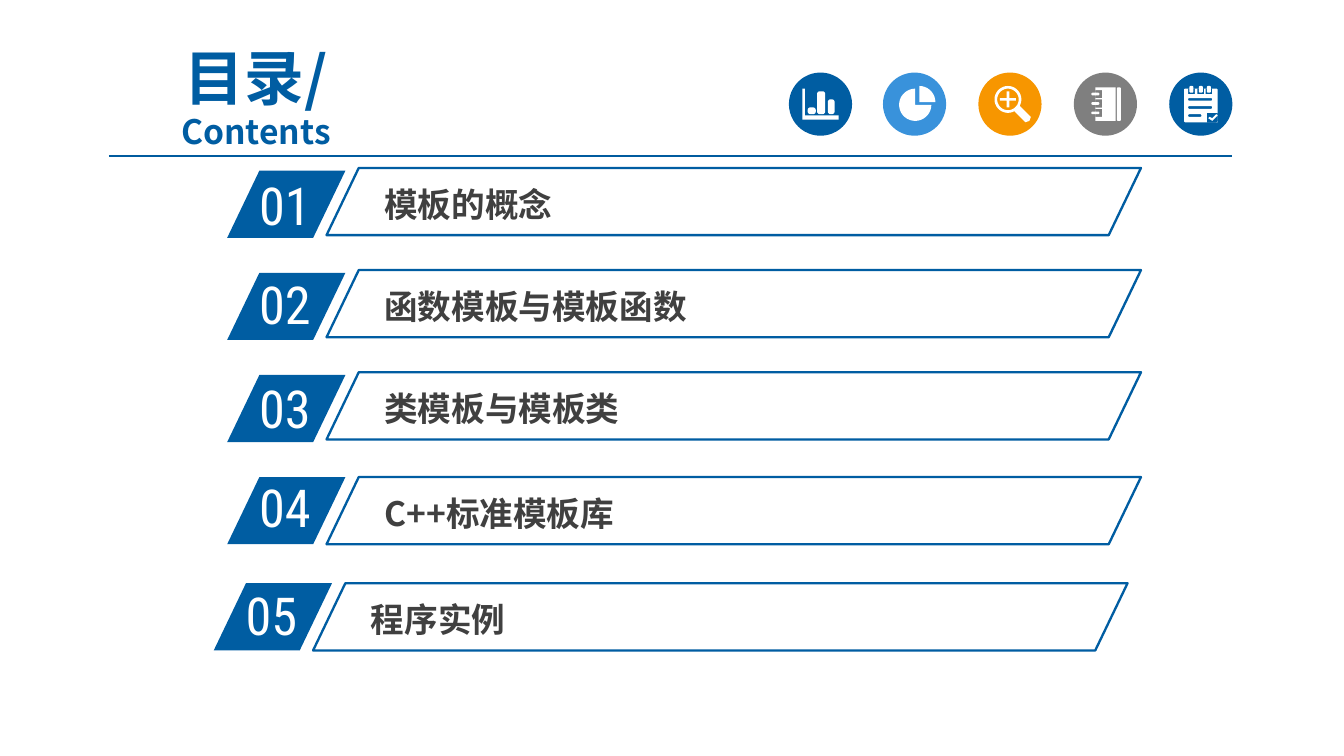
from math import cos, radians, sin
from typing import NamedTuple

from lxml import etree
from pptx import Presentation
from pptx import util as u
from pptx.dml.color import RGBColor
from pptx.enum import shapes, text
from pptx.oxml.ns import qn

COLORS = {"blue": "005DA2", "rule": "005B9E", "sky": "3992DB", "orange": "F79600",
          "gray": "7F7F7F", "dark": "404040", "white": "FFFFFF"}
SANS, SLIM = "Noto Sans CJK SC", "Roboto Condensed"
Path = list[tuple[float, float]]


class Row(NamedTuple):
    num: str
    label: str
    left: float
    badge: float
    digit: float
    bar: float


class Icon(NamedTuple):
    left: float
    color: str
    paths: list[Path]


def rgb(name: str) -> RGBColor:
    return RGBColor.from_string(COLORS[name])


# Outline helpers, in inches from the icon's top left corner
def arc(cx: float, cy: float, r: float, start: int = 0, end: int = 360) -> Path:
    return [(cx + r * cos(radians(a)), cy + r * sin(radians(a)))
            for a in range(start, end + 1, 10)]


def box(x: float, y: float, w: float, h: float, r: float = 0) -> Path:
    if not r:
        return [(x, y), (x + w, y), (x + w, y + h), (x, y + h)]
    mids = [(x + w - r, y + h - r), (x + r, y + h - r), (x + r, y + r), (x + w - r, y + r)]
    return [p for i, (cx, cy) in enumerate(mids)
            for p in arc(cx, cy, r, 90 * i, 90 * i + 90)]


def plus(cx: float, cy: float, arm: float, half: float) -> Path:
    side = [(arm, -half), (arm, half), (half, half)]
    turns = [(1, 0), (0, 1), (-1, 0), (0, -1)]
    return [(cx + c * x - s * y, cy + s * x + c * y) for c, s in turns for x, y in side]


# Drawing functions
def add_run(para, words: str, size: float, font: str, color: str, bold: bool = False) -> None:
    run = para.add_run()
    run.text = words
    run.font.size, run.font.name, run.font.bold = u.Pt(size), font, bold
    run.font.color.rgb = rgb(color)
    props = run.font._element
    etree.SubElement(props, qn("a:ea")).set("typeface", font)


def add_text(slide, x: float, y: float, w: float, h: float, pad: tuple = (0.1, 0.05)):
    frame = slide.shapes.add_textbox(*map(u.Inches, (x, y, w, h))).text_frame
    frame.word_wrap = True
    frame.margin_left = frame.margin_right = u.Inches(pad[0])
    frame.margin_top = frame.margin_bottom = u.Inches(pad[1])
    return frame


def add_shape(slide, kind, x: float, y: float, w: float, h: float,
              fill: str = "", line: str = ""):
    shape = slide.shapes.add_shape(kind, *map(u.Inches, (x, y, w, h)))
    paint(shape, fill, line)
    return shape


def paint(shape, fill: str = "", line: str = "") -> None:
    shape.shadow.inherit = False
    if fill:
        shape.fill.solid()
        shape.fill.fore_color.rgb = rgb(fill)
    else:
        shape.fill.background()
    if line:
        shape.line.color.rgb = rgb(line)
        shape.line.width = u.Pt(1.25)
    else:
        shape.line.fill.background()


def add_slant(slide, x: float, y: float, w: float, fill: str = "", line: str = "") -> None:
    shape = add_shape(slide, shapes.MSO_SHAPE.PARALLELOGRAM, x, y, w, 0.5, fill, line)
    shape.adjustments[0] = 0.48


def add_row(slide, row: Row) -> None:
    add_slant(slide, row.left, row.badge, 0.88, fill="blue")
    digit = add_text(slide, row.left + 0.14, row.digit, 0.84, 0.57)
    add_run(digit.paragraphs[0], row.num, 28, SLIM, "white")
    label = add_text(slide, row.left + 1.1, row.bar + 0.08, 5, 0.38, (0.07, 0.04))
    add_run(label.paragraphs[0], row.label, 18, SANS, "dark", True)
    add_slant(slide, row.left + 0.74, row.bar, 6.06, line="blue")


def add_icon(slide, icon: Icon) -> None:
    top = 0.54
    add_shape(slide, shapes.MSO_SHAPE.OVAL, icon.left, top, 0.47, 0.47, icon.color)
    paths = [[(u.Inches(icon.left + x), u.Inches(top + y)) for x, y in path]
             for path in icon.paths]
    pen = slide.shapes.build_freeform(*paths[0][0])
    for i, path in enumerate(paths):
        if i:
            pen.move_to(*path[0])
        pen.add_line_segments(path[1:], close=True)
    paint(pen.convert_to_shape(), "white")


# Icon outlines; an outline inside another cuts a hole
CHART = [[(0.1, 0.12), (0.12, 0.12), (0.12, 0.32), (0.37, 0.32), (0.37, 0.35), (0.1, 0.35)],
         box(0.14, 0.26, 0.06, 0.05, 0.02), box(0.21, 0.14, 0.06, 0.17, 0.02),
         box(0.29, 0.2, 0.05, 0.11, 0.02)]
PIE = [[(0.27, 0.22)] + arc(0.27, 0.22, 0.12, -90, 0),
       [(0.24, 0.24)] + arc(0.24, 0.24, 0.12, 0, 270)]
LENS = [arc(0.22, 0.2, 0.1), arc(0.22, 0.2, 0.08), plus(0.22, 0.2, 0.06, 0.01),
        [(0.31, 0.25), (0.39, 0.33), (0.38, 0.36), (0.35, 0.37), (0.27, 0.29)]]
BOOK = [box(0.16, 0.11, 0.15, 0.25), box(0.32, 0.11, 0.03, 0.25, 0.01)]
for y in (0.15, 0.22, 0.29):
    BOOK += [box(0.16, y - 0.02, 0.05, 0.06), box(0.13, y, 0.06, 0.02, 0.01)]
NOTE = [box(0.11, 0.12, 0.25, 0.25, 0.01), box(0.14, 0.19, 0.18, 0.02, 0.01),
        box(0.14, 0.25, 0.18, 0.02, 0.01), box(0.14, 0.31, 0.1, 0.02, 0.01),
        box(0.28, 0.3, 0.08, 0.07),
        [(0.29, 0.34), (0.3, 0.33), (0.32, 0.34), (0.35, 0.31), (0.36, 0.32), (0.32, 0.36)]]
for x in (0.15, 0.22, 0.28):
    NOTE += [box(x - 0.01, 0.12, 0.05, 0.04), box(x, 0.1, 0.03, 0.05, 0.01)]

ICONS = [Icon(5.87, "blue", CHART), Icon(6.57, "sky", PIE), Icon(7.28, "orange", LENS),
         Icon(7.99, "gray", BOOK), Icon(8.7, "blue", NOTE)]
ROWS = [Row("01", "模板的概念", 1.69, 1.27, 1.24, 1.25),
        Row("02", "函数模板与模板函数", 1.69, 2.03, 1.98, 2.01),
        Row("03", "类模板与模板类", 1.69, 2.79, 2.75, 2.77),
        Row("04", "C++标准模板库", 1.69, 3.55, 3.49, 3.55),
        Row("05", "程序实例", 1.59, 4.34, 4.29, 4.34)]


def main() -> None:
    deck = Presentation()
    deck.slide_width = u.Inches(10)
    deck.slide_height = u.Inches(10 * 9 / 16)
    slide = deck.slides.add_slide(deck.slide_layouts[6])

    # Title
    frame = add_text(slide, 0.67, 0.47, 2.47, 0.54)
    frame.vertical_anchor = text.MSO_ANCHOR.MIDDLE
    para = frame.paragraphs[0]
    para.alignment = text.PP_ALIGN.CENTER
    para.line_spacing, para.space_before = 0.93, u.Pt(6)
    add_run(para, "目录/", 32, SANS, "blue", True)
    para.add_line_break()
    add_run(para, "Contents", 18, SANS, "blue", True)

    # Rule under the header
    ends = map(u.Inches, (0.81, 1.16, 9.17, 1.16))
    rule = slide.shapes.add_connector(shapes.MSO_CONNECTOR.STRAIGHT, *ends)
    rule.line.color.rgb, rule.line.width = rgb("rule"), u.Pt(0.75)
    etree.SubElement(rule._element.spPr, qn("a:effectLst"))

    # Contents rows and header icons
    for row in ROWS:
        add_row(slide, row)
    for icon in ICONS:
        add_icon(slide, icon)
    deck.save("out.pptx")


if __name__ == "__main__":
    main()
